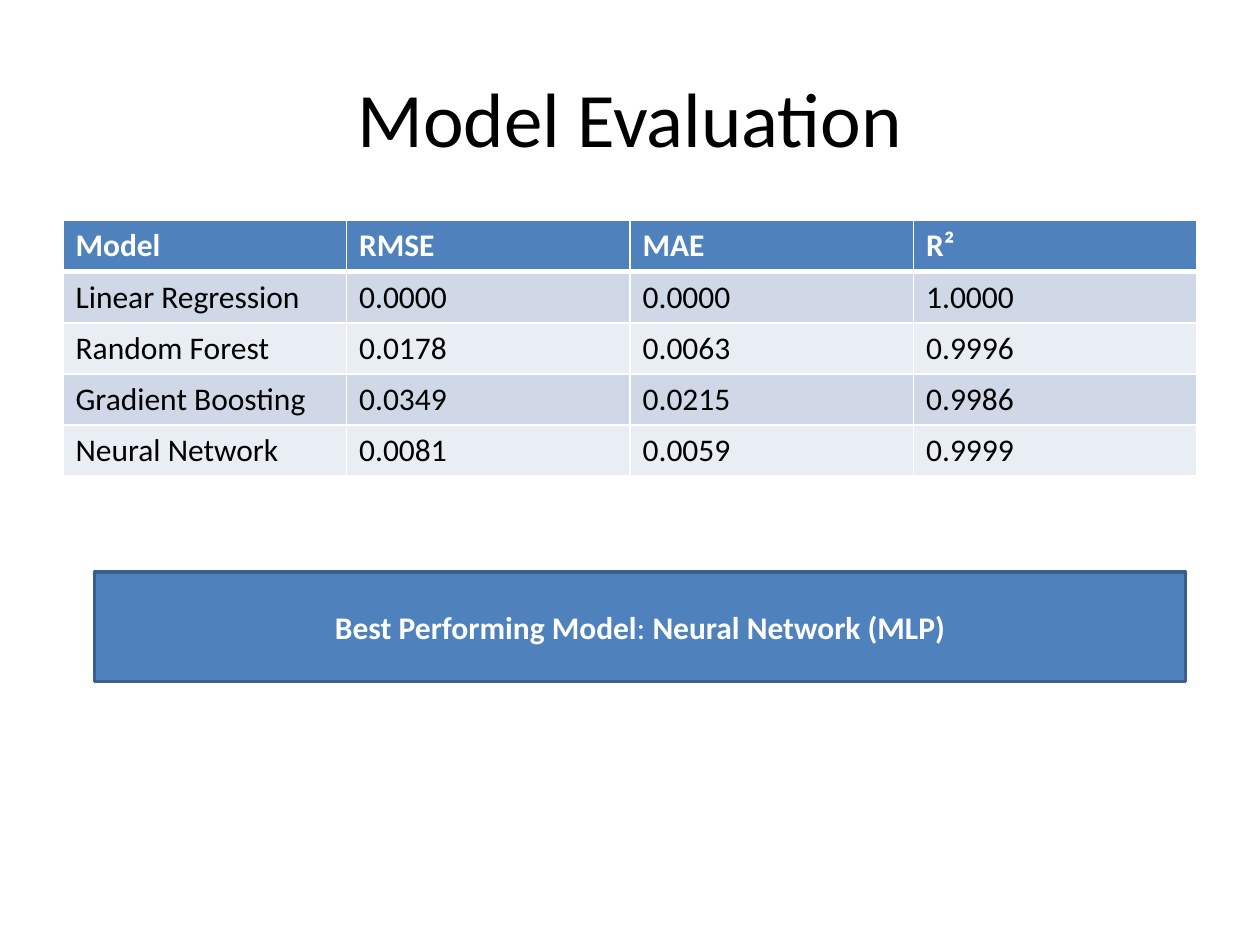
from lxml import etree
from pptx import Presentation
from pptx.dml.color import RGBColor
from pptx.enum.shapes import MSO_SHAPE
from pptx.enum.text import MSO_ANCHOR, PP_ALIGN
from pptx.oxml.ns import qn
from pptx.util import Inches, Pt

RECT = MSO_SHAPE.RECTANGLE
MIDDLE = MSO_ANCHOR.MIDDLE
CENTER = PP_ALIGN.CENTER

TITLE = "Model Evaluation"
ROWS = [
    ("Model", "RMSE", "MAE", "R²"),
    ("Linear Regression", "0.0000", "0.0000", "1.0000"),
    ("Random Forest", "0.0178", "0.0063", "0.9996"),
    ("Gradient Boosting", "0.0349", "0.0215", "0.9986"),
    ("Neural Network", "0.0081", "0.0059", "0.9999"),
]
BEST = [("Best Performing Model", True), (": ", False), ("Neural Network (MLP)", True)]
FONT, BLUE, EDGE, WHITE, BLACK = "Calibri", "4F81BD", "3A5F8C", "FFFFFF", "000000"
BANDS = ("E9EDF4", "D0D8E8")


def color(code):
    return RGBColor.from_string(code)


def style(run, size, code, bold=False):
    font = run.font
    font.name, font.size, font.bold = FONT, Pt(size), bold
    font.color.rgb = color(code)


def paint(item, code):
    item.fill.solid()
    item.fill.fore_color.rgb = color(code)


def border(cell, widths):
    props = cell._tc.get_or_add_tcPr()
    for side, width in zip("LRTB", widths):
        line = etree.SubElement(props, qn("a:ln" + side), w=str(Pt(width)))
        fill = etree.SubElement(line, qn("a:solidFill"))
        etree.SubElement(fill, qn("a:srgbClr"), val=WHITE)


def box(left, top, width, height):
    return [Inches(n) for n in (left, top, width, height)]


def add_title(slide):
    title = slide.shapes.title
    title.left, title.top, title.width, title.height = box(0.5, 0.3, 9, 1.25)
    frame = title.text_frame
    frame.text = TITLE
    frame.vertical_anchor = MIDDLE
    para = frame.paragraphs[0]
    para.alignment = CENTER
    style(para.runs[0], 44, BLACK)


def add_scores(slide):
    area = box(0.5, 1.75, 9, 2.03)
    table = slide.shapes.add_table(len(ROWS), len(ROWS[0]), *area).table
    for r, row in enumerate(ROWS):
        head = r == 0
        for c, text in enumerate(row):
            cell = table.cell(r, c)
            cell.text_frame.text = text
            cell.vertical_anchor = MIDDLE
            style(cell.text_frame.paragraphs[0].runs[0], 18, WHITE if head else BLACK, head)
            border(cell, (1, 1, 3 if r == 1 else 1, 3 if head else 1))
            paint(cell, BLUE if head else BANDS[r % 2])


def add_best(slide):
    best = slide.shapes.add_shape(RECT, *box(0.75, 4.54, 8.66, 0.87))
    best.shadow.inherit = False
    paint(best, BLUE)
    best.line.color.rgb = color(EDGE)
    best.line.width = Pt(2)
    frame = best.text_frame
    frame.word_wrap = True
    frame.vertical_anchor = MIDDLE
    para = frame.paragraphs[0]
    para.alignment = CENTER
    for text, bold in BEST:
        run = para.add_run()
        run.text = text
        style(run, 18, WHITE, bold)


def main():
    deck = Presentation()
    deck.slide_width, deck.slide_height = Inches(10), Inches(7.5)
    slide = deck.slides.add_slide(deck.slide_layouts.get_by_name("Title Only"))
    add_title(slide)
    add_scores(slide)
    add_best(slide)
    deck.save("out.pptx")


if __name__ == "__main__":
    main()
